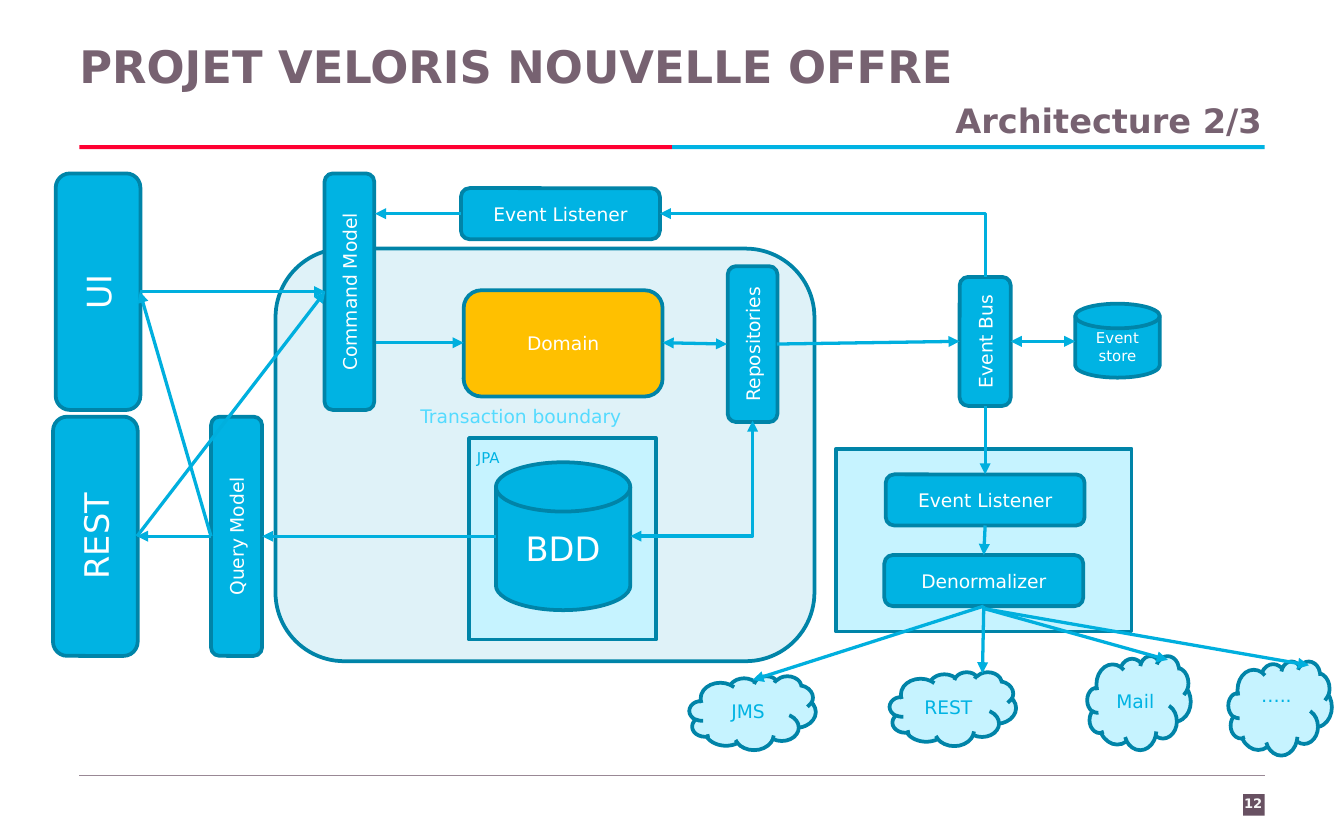
from lxml import etree
from pptx import Presentation
from pptx.dml.color import RGBColor
from pptx.enum.shapes import MSO_CONNECTOR, MSO_SHAPE
from pptx.enum.text import MSO_ANCHOR, PP_ALIGN
from pptx.oxml.ns import qn
from pptx.util import Cm, Pt

RECT, ROUND = MSO_SHAPE.RECTANGLE, MSO_SHAPE.ROUNDED_RECTANGLE
BLOCK = MSO_SHAPE.FLOWCHART_ALTERNATE_PROCESS
DISK, CLOUD = MSO_SHAPE.FLOWCHART_MAGNETIC_DISK, MSO_SHAPE.CLOUD
STRAIGHT, ELBOW = MSO_CONNECTOR.STRAIGHT, MSO_CONNECTOR.ELBOW
LEFT, CENTER, RIGHT = PP_ALIGN.LEFT, PP_ALIGN.CENTER, PP_ALIGN.RIGHT
TOP, MIDDLE = MSO_ANCHOR.TOP, MSO_ANCHOR.MIDDLE

FONT = "DejaVu Sans"
WHITE = RGBColor(0xFF, 0xFF, 0xFF)
NUMBER_WHITE = RGBColor(0xF8, 0xF8, 0xF8)
PLUM = RGBColor(0x68, 0x51, 0x62)
MAUVE = RGBColor(0x77, 0x62, 0x71)
RULE_GREY = RGBColor(0x99, 0x88, 0x95)
RED = RGBColor(0xFF, 0x00, 0x32)
CYAN = RGBColor(0x00, 0xB3, 0xE3)
ARROW_CYAN = RGBColor(0x00, 0xAF, 0xDE)
OUTLINE = RGBColor(0x00, 0x84, 0xA8)
PALE = RGBColor(0xC6, 0xF3, 0xFF)
BOUNDARY_FILL = RGBColor(0xDF, 0xF2, 0xF8)
BOUNDARY_TEXT = RGBColor(0x55, 0xDB, 0xFF)
AMBER = RGBColor(0xFF, 0xC0, 0x00)

# All positions below are in inches: left, top, width, height
BANDS = [((9.25, 5.91, 0.16, 0.16), PLUM),
         ((0.59, 1.08, 4.41, 0.03), RED),
         ((5, 1.08, 4.41, 0.03), CYAN)]

# text, box, size, colour, bold, alignment, anchor, (side, top) margins
LABELS = [
    ("12", (9.09, 5.81, 0.47, 0.33), 7, NUMBER_WHITE, True, CENTER, MIDDLE, (0.1, 0.05)),
    ("PROJET VELORIS NOUVELLE OFFRE", (0.59, 0.29, 8.82, 0.51), 24, MAUVE, True, LEFT, TOP, (0, 0)),
    ("Architecture 2/3", (0.57, 0.74, 8.82, 0.51), 18, MAUVE, True, RIGHT, TOP, (0, 0)),
    ("JPA", (3.45, 3.29, 0.92, 0.24), 8, CYAN, False, LEFT, TOP, (0.1, 0.05)),
    ("Transaction boundary", (3.03, 2.96, 1.94, 0.27), 10, BOUNDARY_TEXT, False, LEFT, TOP, (0.1, 0.05)),
]

# kind, box, fill
FRAMES = [(BLOCK, (2.05, 1.85, 4.01, 3.07), BOUNDARY_FILL),
          (RECT, (3.49, 3.26, 1.39, 1.5), PALE),
          (RECT, (6.22, 3.34, 2.2, 1.36), PALE)]

# text, kind, box, fill, text size
COMPONENTS = [
    ("BDD", DISK, (3.69, 3.44, 1, 1.1), CYAN, 18),
    ("Domain", ROUND, (3.45, 2.16, 1.48, 0.79), AMBER, 10),
    ("Event Listener", BLOCK, (3.43, 1.4, 1.48, 0.38), CYAN, 10),
    ("Event Listener", BLOCK, (6.59, 3.53, 1.48, 0.38), CYAN, 10),
    ("Denormalizer", BLOCK, (6.58, 4.13, 1.48, 0.38), CYAN, 10),
    ("Event store", DISK, (8, 2.26, 0.63, 0.55), CYAN, 8),
]

# Upright bars read from bottom to top: text, centre x, centre y, length, thickness, size
BARS = [
    ("Command Model", 2.6, 2.17, 1.76, 0.37, 10),
    ("Query Model", 1.76, 3.99, 1.78, 0.38, 10),
    ("Repositories", 5.6, 2.56, 1.16, 0.37, 10),
    ("Event Bus", 7.33, 2.54, 0.96, 0.38, 10),
    ("REST", 0.71, 3.99, 1.78, 0.63, 18),
    ("UI", 0.73, 2.17, 1.76, 0.63, 18),
]

# text, box, bottom margin
CLOUDS = [("JMS", (5.13, 5.03, 0.94, 0.55), 0.05),
          ("REST", (6.62, 5, 0.94, 0.55), 0.05),
          ("Mail", (8.09, 4.88, 0.77, 0.7), 0.05),
          ("…..", (9.14, 4.92, 0.77, 0.7), 0.22)]

# Shared ends of the arrows
UI, REST, COMMAND, QUERY = (1.04, 2.17), (1.02, 3.99), (2.42, 2.17), (1.57, 3.99)
DENORMALIZER, FAN = (7.32, 4.51), (7.33, 4.53)

ONE_WAY = [
    ((3.43, 1.59), (2.79, 1.59)), (UI, COMMAND), (REST, COMMAND),
    (QUERY, UI), (QUERY, REST), ((3.69, 3.99), (1.95, 3.99)),
    ((2.8, 2.55), (3.45, 2.55)), ((5.78, 2.56), (7.14, 2.54)),
    ((7.33, 3.02), (7.33, 3.53)), ((7.33, 3.91), (7.32, 4.13)),
    (DENORMALIZER, (5.6, 5.06)), (DENORMALIZER, (7.31, 5.01)),
    (FAN, (8.69, 4.91)), (FAN, (9.74, 4.95)),
]
TWO_WAY = [((4.93, 2.55), (5.41, 2.56)), ((7.52, 2.54), (8, 2.54))]
# Corners run horizontally first, then vertically: start, end, arrowed ends
CORNERS = [((4.91, 1.59), (7.33, 2.06), ("headEnd",)),
           ((4.69, 3.99), (5.6, 3.13), ("headEnd", "tailEnd"))]


def inches(*values):
    return [Cm(value * 2.54) for value in values]


def write(shape, text, size, color, bold=False, align=CENTER, anchor=MIDDLE,
          margins=(0.1, 0.05), bottom=None):
    frame = shape.text_frame
    side, top = inches(*margins)
    layout = {"word_wrap": True, "vertical_anchor": anchor,
              "margin_left": side, "margin_right": side, "margin_top": top,
              "margin_bottom": top if bottom is None else inches(bottom)[0]}
    for name, value in layout.items():
        setattr(frame, name, value)
    paragraph = frame.paragraphs[0]
    paragraph.alignment = align
    run = paragraph.add_run()
    run.text = text
    for name, value in {"name": FONT, "size": Pt(size), "bold": bold}.items():
        setattr(run.font, name, value)
    run.font.color.rgb = color


def add_block(slide, kind, box, fill, outlined=True):
    shape = slide.shapes.add_shape(kind, *inches(*box))
    shape.shadow.inherit = False
    shape.fill.solid()
    shape.fill.fore_color.rgb = fill
    if outlined:
        shape.line.color.rgb = OUTLINE
        shape.line.width = Pt(2)
    else:
        shape.line.fill.background()
    return shape


def add_line(slide, start, end, arrows=(), kind=STRAIGHT, color=ARROW_CYAN, width=1.75):
    line = slide.shapes.add_connector(kind, *inches(*start, *end))
    line.line.color.rgb = color
    line.line.width = Pt(width)
    properties = line._element.spPr
    if kind == ELBOW:
        properties.find(qn("a:prstGeom")).set("prst", "bentConnector2")
    outline = properties.find(qn("a:ln"))
    for arrow in arrows:
        etree.SubElement(outline, qn("a:" + arrow), type="triangle")
    etree.SubElement(properties, qn("a:effectLst"))


def main():
    deck = Presentation()
    deck.slide_width, deck.slide_height = inches(10, 6.25)
    slide = deck.slides.add_slide(deck.slide_layouts[6])

    # Header bands, footer rule and number tile
    for box, fill in BANDS:
        add_block(slide, RECT, box, fill, outlined=False)
    add_line(slide, (0.59, 5.77), (9.41, 5.77), color=RULE_GREY, width=0.75)

    # Enclosing frames, then the components
    for kind, box, fill in FRAMES:
        add_block(slide, kind, box, fill)
    for text, kind, box, fill, size in COMPONENTS:
        write(add_block(slide, kind, box, fill), text, size, WHITE)
    for text, x, y, length, thickness, size in BARS:
        box = (x - length / 2, y - thickness / 2, length, thickness)
        bar = add_block(slide, BLOCK, box, CYAN)
        bar.rotation = 270
        write(bar, text, size, WHITE)
    for text, box, bottom in CLOUDS:
        write(add_block(slide, CLOUD, box, PALE), text, 10, CYAN, bottom=bottom)

    # Flows
    for start, end in ONE_WAY:
        add_line(slide, start, end, ("tailEnd",))
    for start, end in TWO_WAY:
        add_line(slide, start, end, ("headEnd", "tailEnd"))
    for start, end, arrows in CORNERS:
        add_line(slide, start, end, arrows, ELBOW)

    # Free text
    for text, box, *style in LABELS:
        write(slide.shapes.add_textbox(*inches(*box)), text, *style)

    deck.save("out.pptx")


if __name__ == "__main__":
    main()
